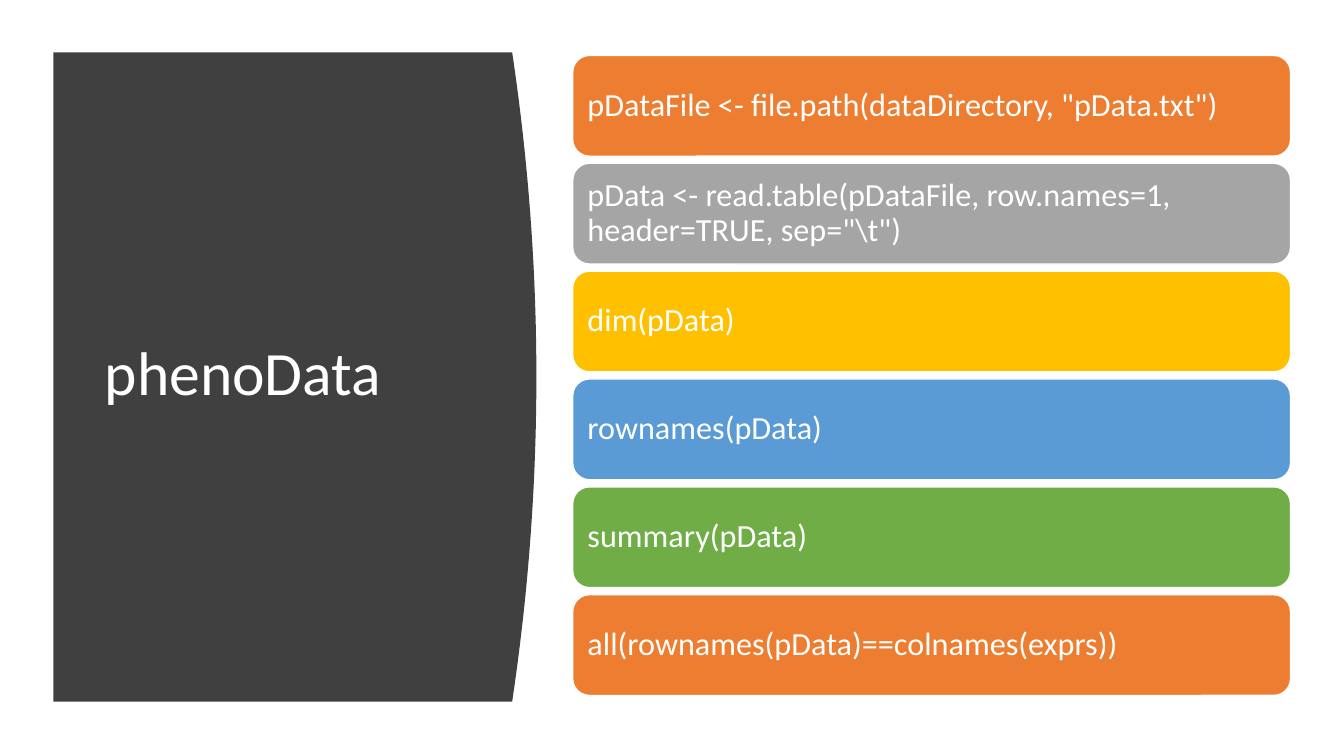
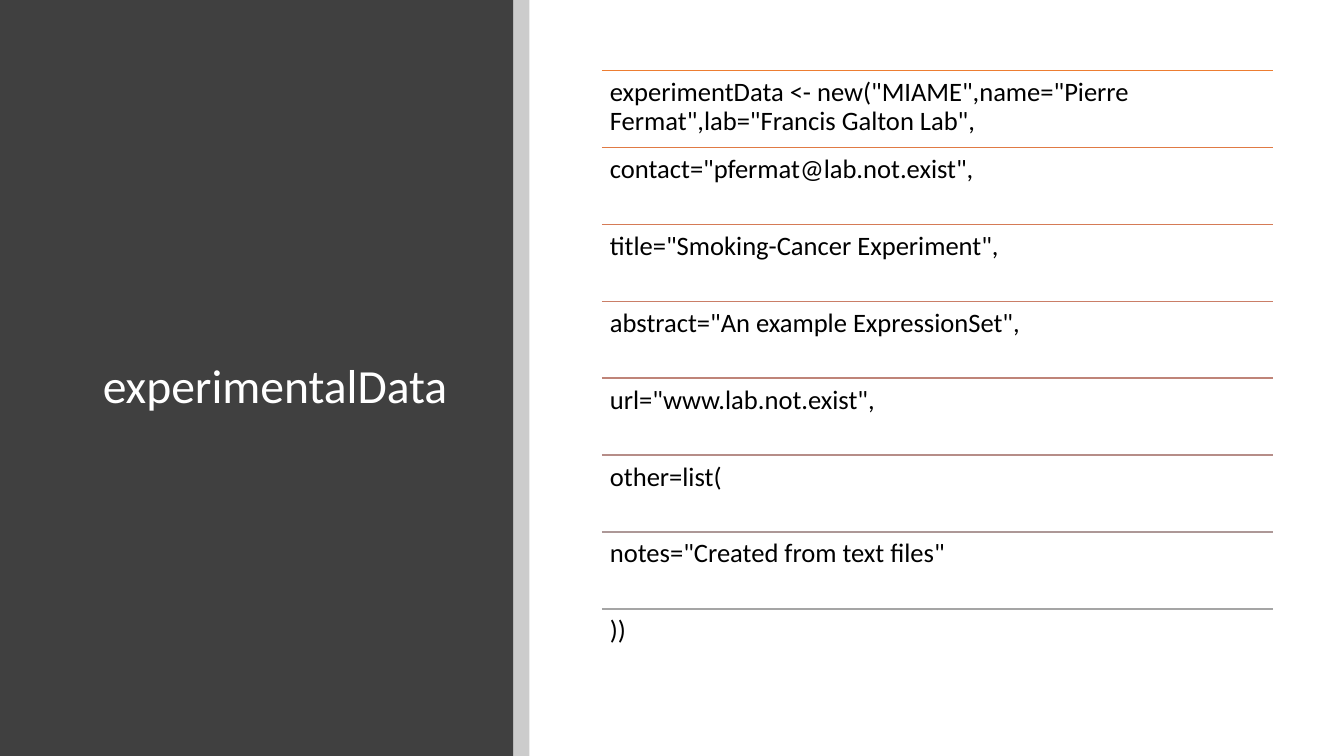
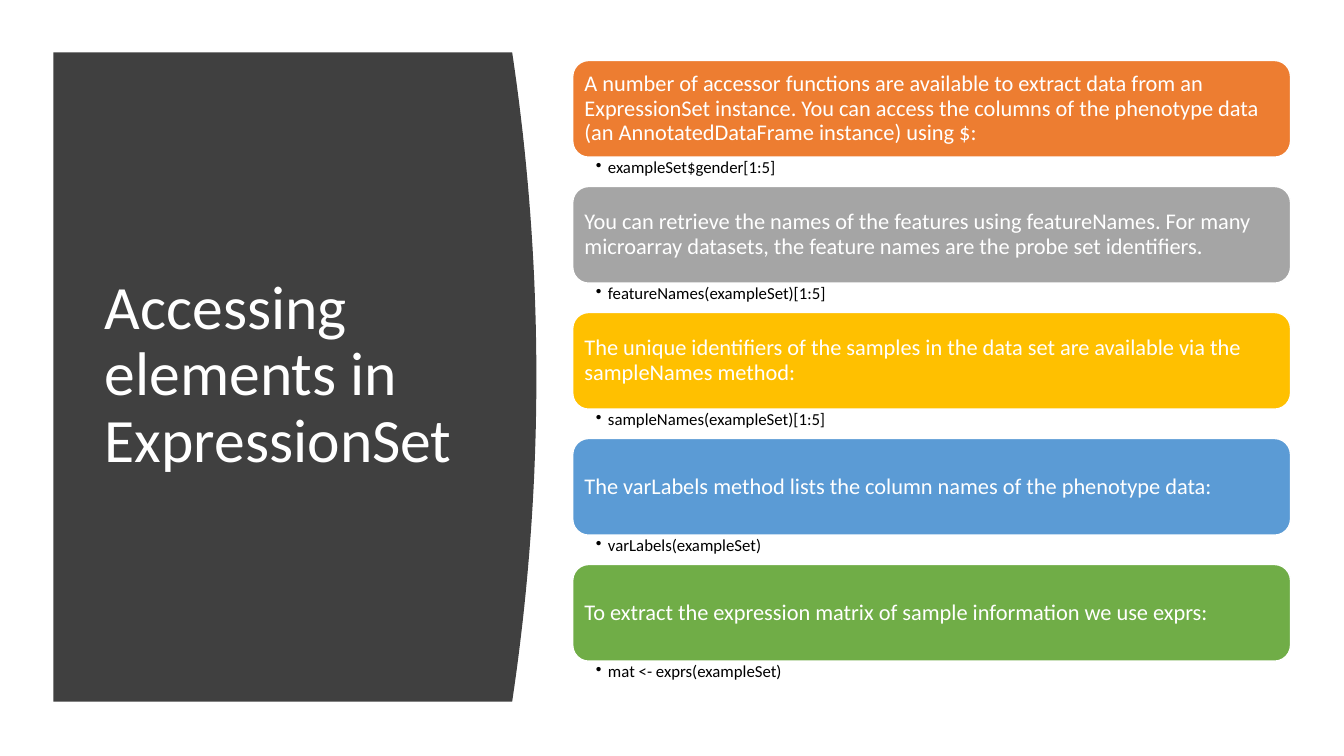
"""Build three slides on assembling and reading an ExpressionSet."""
from colorsys import hls_to_rgb, rgb_to_hls
from dataclasses import dataclass

from lxml.etree import SubElement
from pptx import Presentation
from pptx.dml.color import RGBColor
from pptx.enum.shapes import MSO_CONNECTOR as Connector, MSO_SHAPE as Shape
from pptx.enum.text import MSO_ANCHOR as Anchor, PP_ALIGN as Align
from pptx.oxml.ns import qn
from pptx.util import Inches, Pt


@dataclass(frozen=True)
class Theme:
    font: str = "Calibri"
    panel: str = "404040"
    white: str = "FFFFFF"
    black: str = "000000"
    accents: tuple = ("ED7D31", "A5A5A5", "FFC000", "5B9BD5", "70AD47")
    title: int = 44
    narrow_title: int = 34
    command: int = 23
    field: int = 19
    card: int = 16
    example: int = 12


theme = Theme()


def write(frame, text, size, color, insets=(0.1, 0.05, 0.1, 0.05), anchor=Anchor.MIDDLE):
    frame.word_wrap = True
    frame.vertical_anchor = anchor
    frame.margin_left, frame.margin_top, frame.margin_right, frame.margin_bottom = map(Inches, insets)
    para = frame.paragraphs[0]
    para.alignment = Align.LEFT
    para.line_spacing = 0.9
    span = para.add_run()
    span.text = text
    span.font.name = theme.font
    span.font.size = Pt(size)
    span.font.color.rgb = RGBColor.from_string(color)
    return para


def add_page(heading, curved):
    page = deck.slides.add_slide(deck.slide_layouts[5])
    if curved:
        left, edge, bulge, top, bottom = 0.53, 5.08, 0.24, 0.52, 6.96
        steps = 40
        arc = []
        for step in range(steps + 1):
            share = step / steps
            x = edge + bulge * (1 - (2 * share - 1) ** 2)
            arc.append((Inches(x), Inches(top + (bottom - top) * share)))
        outline = page.shapes.build_freeform(Inches(left), Inches(top))
        outline.add_line_segments(arc + [(Inches(left), Inches(bottom))], close=True)
        panel = outline.convert_to_shape()
        area, size = (0.94, 1.11, 3.74, 5.24), theme.title
    else:
        panel = page.shapes.add_shape(Shape.RECTANGLE, 0, 0, Inches(5.09), deck.slide_height)
        area, size = (0.92, 0.89, 3.65, 5.91), theme.narrow_title
    panel.shadow.inherit = False
    panel.fill.solid()
    panel.fill.fore_color.rgb = RGBColor.from_string(theme.panel)
    panel.line.fill.background()
    title = page.shapes.title
    title.left, title.top, title.width, title.height = map(Inches, area)
    write(title.text_frame, heading, size, theme.white)
    title.element.addprevious(panel.element)
    return page


deck = Presentation()
deck.slide_width, deck.slide_height = Inches(13.33), Inches(7.5)

commands = [
    'pDataFile <- file.path(dataDirectory, "pData.txt")',
    r'pData <- read.table(pDataFile, row.names=1, header=TRUE, sep="\t")',
    "dim(pData)",
    "rownames(pData)",
    "summary(pData)",
    "all(rownames(pData)==colnames(exprs))",
]
fields = [
    'experimentData <- new("MIAME",name="Pierre Fermat",lab="Francis Galton Lab",',
    'contact="pfermat@lab.not.exist",',
    'title="Smoking-Cancer Experiment",',
    'abstract="An example ExpressionSet",',
    'url="www.lab.not.exist",',
    "other=list(",
    'notes="Created from text files"',
    "))",
]
accessors = [
    ("A number of accessor functions are available to extract data from an ExpressionSet instance. "
     "You can access the columns of the phenotype data (an AnnotatedDataFrame instance) using $:",
     "exampleSet$gender[1:5]"),
    ("You can retrieve the names of the features using featureNames. "
     "For many microarray datasets, the feature names are the probe set identifiers.",
     "featureNames(exampleSet)[1:5]"),
    ("The unique identifiers of the samples in the data set are available via the sampleNames method:",
     "sampleNames(exampleSet)[1:5]"),
    ("The varLabels method lists the column names of the phenotype data:",
     "varLabels(exampleSet)"),
    ("To extract the expression matrix of sample information we use exprs:",
     "mat <- exprs(exampleSet)"),
]

pheno_page = add_page("phenoData", curved=True)
experiment_page = add_page("experimentalData", curved=False)
access_page = add_page("Accessing elements in ExpressionSet", curved=True)

card_stacks = [
    (pheno_page, [(command, None) for command in commands], 0.55, 1.07, 1, theme.command, 0.1),
    (access_page, accessors, 0.6, 1.25, 0.96, theme.card, 0.07),
]
for page, cards, start, pitch, height, size, inset in card_stacks:
    for index, (text, example) in enumerate(cards):
        top = start + index * pitch
        card = page.shapes.add_shape(
            Shape.ROUNDED_RECTANGLE, Inches(5.68), Inches(top), Inches(7.12), Inches(height))
        card.shadow.inherit = False
        card.fill.solid()
        card.fill.fore_color.rgb = RGBColor.from_string(theme.accents[index % len(theme.accents)])
        card.line.color.rgb = RGBColor.from_string(theme.white)
        card.line.width = Pt(1)
        write(card.text_frame, text, size, theme.white, (inset,) * 4)
        if example:
            box = page.shapes.add_textbox(
                Inches(5.68), Inches(top + height), Inches(7.12), Inches(0.29))
            para = write(box.text_frame, example, theme.example, theme.black,
                         (0.23, 0.02, 0.12, 0.02), Anchor.TOP)
            para.level = 1
            properties = para._p.get_or_add_pPr()
            properties.set("marL", str(Inches(0.12)))
            properties.set("indent", str(Inches(-0.12)))
            SubElement(properties, qn("a:buChar"), char="•")

strip = experiment_page.shapes.add_shape(
    Shape.RECTANGLE, Inches(5.09), 0, Inches(0.16), deck.slide_height)
strip.shadow.inherit = False
strip.fill.solid()
strip.fill.fore_color.rgb = RGBColor.from_string(theme.black)
strip.line.fill.background()
strip_color = strip.element.spPr.find(qn("a:solidFill"))[0]
SubElement(strip_color, qn("a:alpha"), val="20000")

first_hls, last_hls = [
    rgb_to_hls(*(channel / 255 for channel in RGBColor.from_string(accent)))
    for accent in theme.accents[:2]]
for index, field in enumerate(fields):
    share = index / (len(fields) - 1)
    top = Inches(0.7 + 5.34 * share)
    blend = [a + (b - a) * share for a, b in zip(first_hls, last_hls)]
    rule = experiment_page.shapes.add_connector(
        Connector.STRAIGHT, Inches(5.97), top, Inches(12.63), top)
    rule.line.color.rgb = RGBColor(*(round(channel * 255) for channel in hls_to_rgb(*blend)))
    rule.line.width = Pt(1)
    SubElement(rule.element.spPr, qn("a:effectLst"))
    box = experiment_page.shapes.add_textbox(Inches(5.97), top, Inches(6.66), Inches(0.76))
    write(box.text_frame, field, theme.field, theme.black, (0.08,) * 4, Anchor.TOP)

deck.save("out.pptx")
